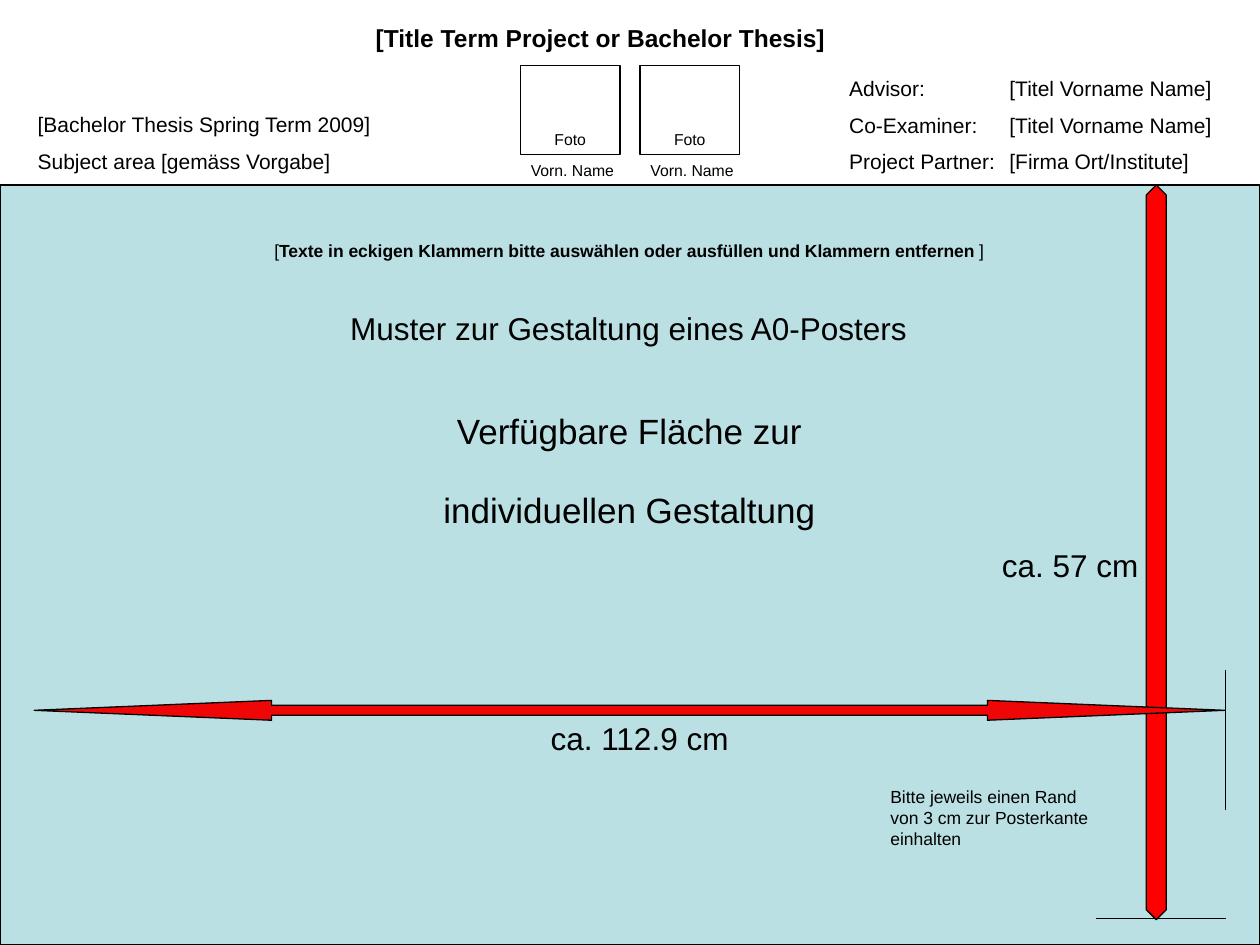
from lxml.etree import SubElement
from pptx import Presentation
from pptx.dml.color import RGBColor
from pptx.enum.shapes import MSO_CONNECTOR, MSO_SHAPE
from pptx.enum.text import MSO_ANCHOR, MSO_AUTO_SIZE, PP_ALIGN
from pptx.oxml import parse_xml
from pptx.oxml.ns import qn
from pptx.util import Cm, Pt

A_NS = "http://schemas.openxmlformats.org/drawingml/2006/main"


def write(sp, lines, size, align=PP_ALIGN.LEFT, before=0, anchor=MSO_ANCHOR.TOP):
    """Fill a shape with one paragraph per line, all in black Arial."""
    tf = sp.text_frame
    tf.word_wrap = True
    tf.auto_size = MSO_AUTO_SIZE.NONE
    tf.vertical_anchor = anchor
    tf.text = "\n".join(lines)
    for p in tf.paragraphs:
        p.alignment = align
        p.space_before = Pt(before)
        p.font.name = "Arial"
        p.font.size = Pt(size)
        p.font.color.rgb = RGBColor.from_string("000000")
    return tf


def add_box(kind, left, top, width, height, fill=None):
    """Add a preset shape with a thin black outline; lengths in cm."""
    sp = s.shapes.add_shape(kind, Cm(left), Cm(top), Cm(width), Cm(height))
    sp.shadow.inherit = False
    if fill:
        sp.fill.solid()
        sp.fill.fore_color.rgb = RGBColor.from_string(fill)
    else:
        sp.fill.background()
    sp.line.color.rgb = RGBColor.from_string("000000")
    sp.line.width = Pt(0.75)
    return sp


prs = Presentation()
prs.slide_width, prs.slide_height = Cm(25.4), Cm(19.05)
s = prs.slides.add_slide(prs.slide_layouts[5])

# Header
title = s.shapes.title
title.left, title.top, title.width, title.height = Cm(7.32), Cm(0.33), Cm(13), Cm(0.86)
tf = write(title, ["[Title Term Project or Bachelor Thesis]"], 14)
tf.paragraphs[0].font.bold = True

# Poster area, with the height label beside the vertical arrow
area = add_box(MSO_SHAPE.RECTANGLE, 0, 3.73, 25.4, 15.32, "BBE0E3")
tf = write(area, ["ca. 57 cm"], 18, PP_ALIGN.RIGHT, anchor=MSO_ANCHOR.MIDDLE)
tf.margin_right = Cm(2.45)

# Text boxes: left, top, width, height, lines, size, alignment, space before
texts = [
    (0.51, 2.13, 9.19, 1.52,
     ["[Bachelor Thesis Spring Term 2009]", "Subject area [gemäss Vorgabe]"],
     12, PP_ALIGN.LEFT, 6.5),
    (6.43, 8.13, 12.52, 2.79, ["Verfügbare Fläche zur", "individuellen Gestaltung"],
     20, PP_ALIGN.CENTER, 21),
    (17.7, 15.72, 4.7, 1.52,
     ["Bitte jeweils einen Rand", "von 3 cm zur Posterkante", "einhalten"],
     10, PP_ALIGN.LEFT, 0),
    (10.85, 14.38, 4.4, 1.02, ["ca. 112.9 cm"], 18, PP_ALIGN.LEFT, 0),
    (6.81, 6.1, 12, 1.02, ["Muster zur Gestaltung eines A0-Posters"],
     18, PP_ALIGN.LEFT, 0),
]
for left, top, width, height, lines, size, align, before in texts:
    tb = s.shapes.add_textbox(Cm(left), Cm(top), Cm(width), Cm(height))
    write(tb, lines, size, align, before)

# Contacts in two columns, aligned by a tab stop
contacts = s.shapes.add_textbox(Cm(16.87), Cm(1.4), Cm(8.13), Cm(2.29))
tf = write(contacts, ["Advisor:\t[Titel Vorname Name]",
                      "Co-Examiner:\t[Titel Vorname Name]",
                      "Project Partner:\t[Firma Ort/Institute]"], 12, before=6.5)
for p in tf.paragraphs:
    tabs = parse_xml(f'<a:tabLst xmlns:a="{A_NS}"><a:tab pos="{Cm(3.23)}" algn="l"/></a:tabLst>')
    p._p.pPr.find(qn("a:defRPr")).addprevious(tabs)

# Photo frames with names below
for left in (10.49, 12.9):
    photo = add_box(MSO_SHAPE.RECTANGLE, left, 1.32, 2.01, 1.8)
    write(photo, ["Foto"], 9, PP_ALIGN.CENTER, anchor=MSO_ANCHOR.BOTTOM)
    name = s.shapes.add_textbox(Cm(left - 0.2), Cm(3.12), Cm(2.5), Cm(0.6))
    write(name, ["Vorn. Name"], 9, PP_ALIGN.CENTER)

# Instruction with bold text between plain brackets
note = s.shapes.add_textbox(Cm(5.28), Cm(4.72), Cm(15.2), Cm(0.69))
p = write(note, [""], 10).paragraphs[0]
for part, bold in (
        ("[", False),
        ("Texte in eckigen Klammern bitte auswählen oder ausfüllen und Klammern entfernen ", True),
        ("]", False)):
    r = p.add_run()
    r.text = part
    r.font.bold = bold

# Dimension arrows
for kind, left, top, width, height, head, fill in (
        (MSO_SHAPE.UP_DOWN_ARROW, 23.11, 3.73, 0.4, 14.81, 7.46, "FF0000"),
        (MSO_SHAPE.LEFT_RIGHT_ARROW, 0.69, 14.12, 24, 0.4, 11.96, "EF0707")):
    arrow = add_box(kind, left, top, width, height, fill)
    arrow.adjustments[0] = 0.5
    arrow.adjustments[1] = head

# Margin lines
for x1, y1, x2, y2 in ((24.71, 13.51, 24.71, 16.33), (22.1, 18.52, 24.71, 18.52)):
    line = s.shapes.add_connector(MSO_CONNECTOR.STRAIGHT, Cm(x1), Cm(y1), Cm(x2), Cm(y2))
    line.line.color.rgb = RGBColor.from_string("000000")
    line.line.width = Pt(0.75)
    SubElement(line._element.spPr, qn("a:effectLst"))

prs.save("out.pptx")
